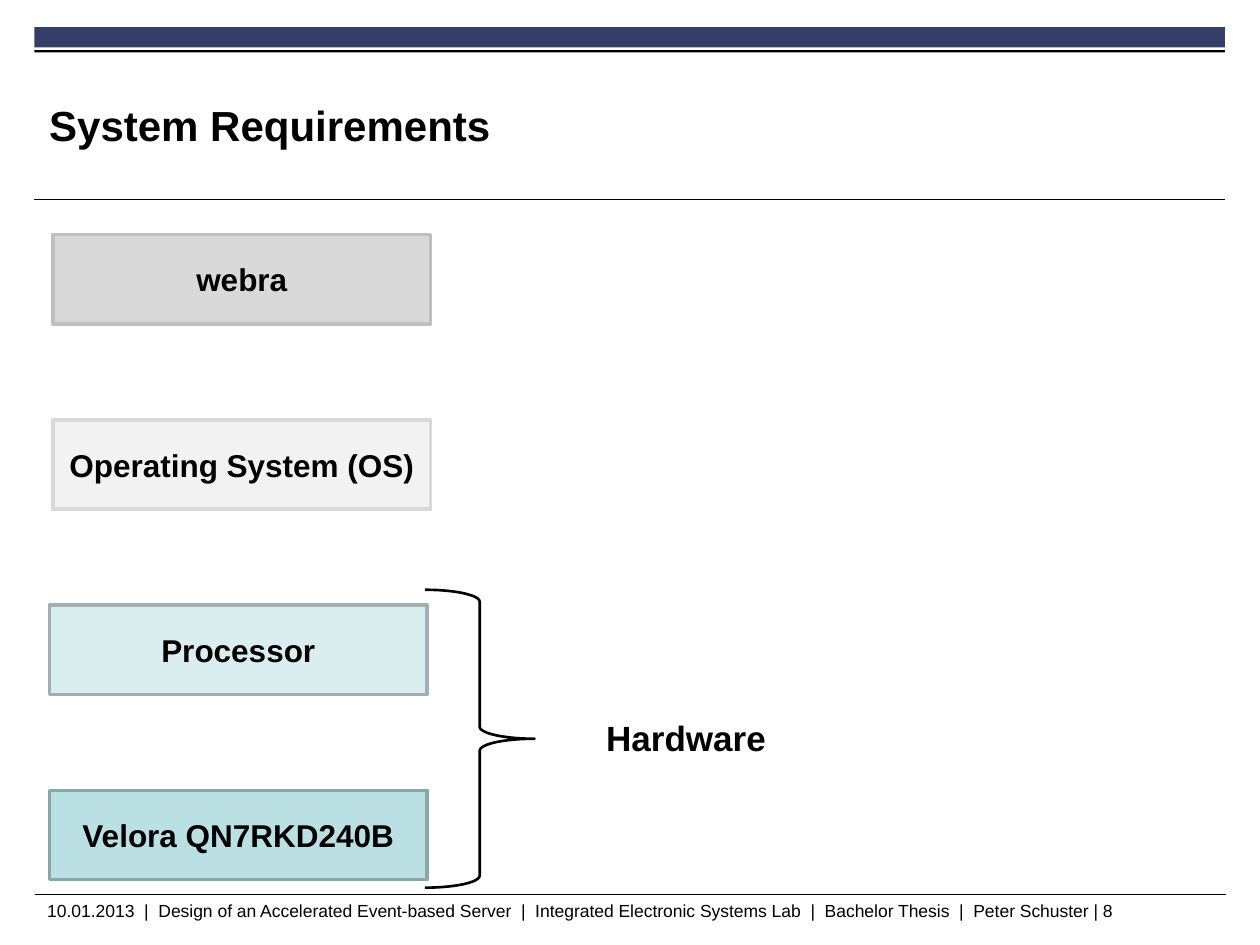
from lxml import etree
from pptx import Presentation
from pptx.dml.color import RGBColor
from pptx.enum.shapes import MSO_CONNECTOR, MSO_SHAPE
from pptx.enum.text import MSO_ANCHOR, PP_ALIGN
from pptx.oxml.ns import qn
from pptx.util import Pt

RECTANGLE, LEFT_BRACE = MSO_SHAPE.RECTANGLE, MSO_SHAPE.LEFT_BRACE
STRAIGHT = MSO_CONNECTOR.STRAIGHT
MIDDLE, TOP = MSO_ANCHOR.MIDDLE, MSO_ANCHOR.TOP
LEFT, CENTER = PP_ALIGN.LEFT, PP_ALIGN.CENTER

FONT = "Arial"
COLORS = {
    "black": "000000",
    "navy": "333F67",
    "server": "D9D9D9", "server_edge": "BFBFBF",
    "system": "F2F2F2", "system_edge": "D9D9D9",
    "processor": "DAEDEF", "processor_edge": "A1AFB1",
    "board": "BBE0E3", "board_edge": "8AA6A8",
}
# Label, colour and indent of each layer, from top to bottom
LAYERS = [
    ("webra", "server", 2),
    ("Operating System (OS)", "system", 2),
    ("Processor", "processor", 0),
    ("Velora QN7RKD240B", "board", 0),
]
FOOTER = ("10.01.2013  |  Design of an Accelerated Event-based Server  |  "
          "Integrated Electronic Systems Lab  |  Bachelor Thesis  |  "
          "Peter Schuster | 8")


def color(name):
    return RGBColor.from_string(COLORS[name])


def place(shape, left, top, width, height):
    shape.left, shape.top = Pt(left), Pt(top)
    shape.width, shape.height = Pt(width), Pt(height)


def write(shape, text, size, bold=True, align=LEFT, anchor=MIDDLE, wrap=True):
    frame = shape.text_frame
    frame.word_wrap = wrap
    frame.vertical_anchor = anchor
    paragraph = frame.paragraphs[0]
    paragraph.alignment = align
    run = paragraph.add_run()
    run.text = text
    run.font.name, run.font.size, run.font.bold = FONT, Pt(size), bold
    run.font.color.rgb = color("black")


def add_box(slide, left, top, width, height, fill, edge=None):
    shape = slide.shapes.add_shape(
        RECTANGLE, Pt(left), Pt(top), Pt(width), Pt(height))
    shape.shadow.inherit = False
    shape.fill.solid()
    shape.fill.fore_color.rgb = color(fill)
    if edge:
        shape.line.color.rgb = color(edge)
        shape.line.width = Pt(2)
    else:
        shape.line.fill.background()
    return shape


def add_rule(slide, left, top, width):
    rule = slide.shapes.add_connector(
        STRAIGHT, Pt(left), Pt(top), Pt(left + width), Pt(top))
    rule.line.color.rgb = color("black")
    rule.line.width = Pt(0.6)
    etree.SubElement(rule._element.spPr, qn("a:effectLst"))


def add_header(slide, left, top, width, height):
    # Bands above the title and rule below it
    add_box(slide, left, top, width, 11.5, "navy")
    add_box(slide, left, top + 13, width, 1.4, "black")
    add_rule(slide, left, top + height, width)
    title = slide.shapes.title
    place(title, left + 8.5, top + 22.3, 541.5, 66.2)
    frame = title.text_frame
    frame.margin_left = frame.margin_right = 0
    frame.margin_top = frame.margin_bottom = 0
    write(title, "System Requirements", 24)


def add_layers(slide, left, top, width, height):
    # Equal boxes spread over the height
    box_height = 51.1
    step = (height - box_height) / (len(LAYERS) - 1)
    for index, (label, fill, indent) in enumerate(LAYERS):
        box = add_box(slide, left + indent, top + index * step,
                      width, box_height, fill, fill + "_edge")
        write(box, label, 18, align=CENTER, wrap=False)


def add_hardware(slide, left, top, width, height):
    # Brace turned to point right, with its label
    brace = slide.shapes.add_shape(
        LEFT_BRACE, Pt(left), Pt(top), Pt(62.6), Pt(height))
    brace.rotation = 180
    brace.adjustments[0] = 0.109
    brace.shadow.inherit = False
    brace.fill.background()
    brace.line.color.rgb = color("black")
    brace.line.width = Pt(1.5)
    label_left = 96.5
    label = slide.shapes.add_textbox(
        Pt(left + label_left), Pt(top + 69), Pt(width - label_left), Pt(31.5))
    write(label, "Hardware", 20, anchor=TOP)


def add_footer(slide, left, top, width, height):
    add_rule(slide, left, top, width)
    footer = slide.shapes.add_textbox(
        Pt(left), Pt(top), Pt(width), Pt(height))
    write(footer, FOOTER, 10, bold=False)


def main():
    presentation = Presentation()
    presentation.slide_width, presentation.slide_height = Pt(720), Pt(540)
    slide = presentation.slides.add_slide(presentation.slide_layouts[5])
    add_header(slide, 19.6, 15.6, 680.4, 98.6)
    add_layers(slide, 28.2, 134, 216, 368.7)
    add_hardware(slide, 242.8, 337, 328.2, 170.2)
    add_footer(slide, 19.9, 511, 680.4, 18.3)
    presentation.save("out.pptx")


if __name__ == "__main__":
    main()
